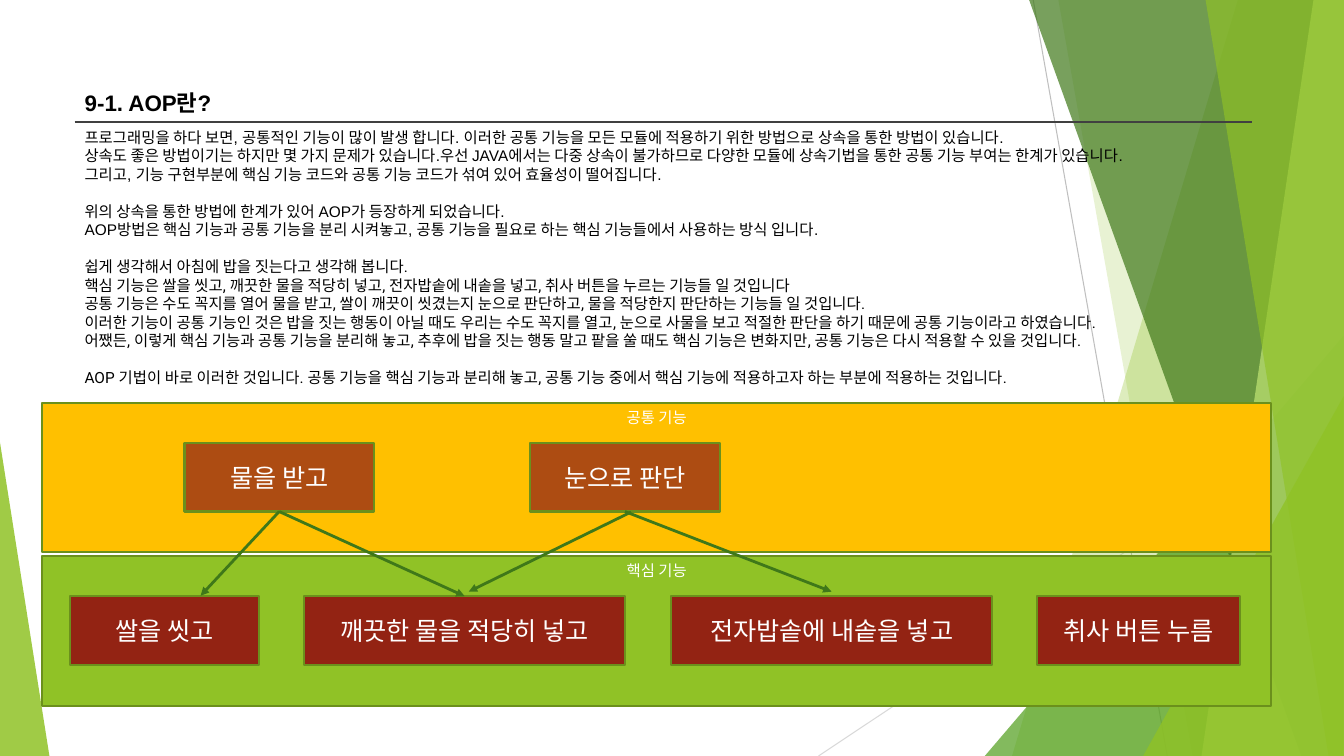
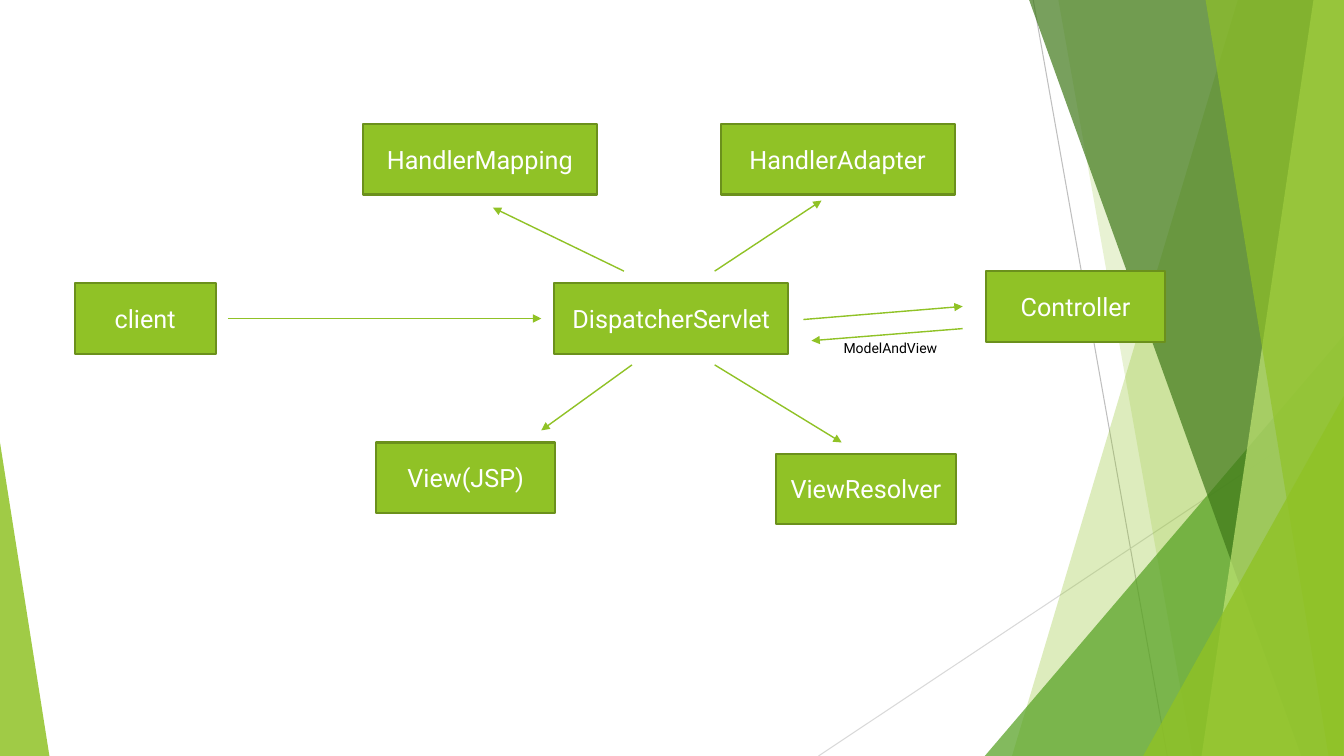
import collections
import pptx
import pptx.util
import pptx.dml.color
import pptx.enum.shapes
import pptx.enum.text
import pptx.oxml
import pptx.oxml.ns

# Lengths are columns and rows of a grid with cells of 0.1 inch
COLS, ROWS = 133.33, 75
GREEN, LEAF, DARK_GREEN, LIME = "90C226", "54A021", "3F7819", "C0E474"
OUTLINE, AMBER, RUST, BRICK = "6B901C", "FFC000", "AD4C12", "932313"
BLACK, WHITE, RULE = "000000", "FFFFFF", "404040"
SHAPE = pptx.enum.shapes.MSO_SHAPE
ANCHOR = pptx.enum.text.MSO_ANCHOR
ALIGN = pptx.enum.text.PP_ALIGN
Box = collections.namedtuple("Box", "x y w h")

TITLE = "9-1. AOP란?"
# Blocks of paragraphs; each paragraph is a list of (text, font) runs
BODY = [
    [[("프로그래밍을 하다 보면, 공통적인 기능이 많이 발생 합니다. 이러한 공통 기능을 모든 모듈에 적용하기 위한 방법으로 상속을 통한 방법이 있습니다.", "Arial")],
     [("상속도 좋은 방법이기는 하지만 몇 가지 문제가 있습니다.우선 JAVA에서는 다중 상속이 불가하므로 다양한 모듈에 상속기법을 통한 공통 기능 부여는 한계가 있습니다.", "Arial")],
     [("그리고, 기능 구현부분에 핵심 기능 코드와 공통 기능 코드가 섞여 있어 효율성이 떨어집니다.", "Arial")]],
    [[("위의 상속을 통한 방법에 한계가 있어 AOP가 등장하게 되었습니다.", "Arial")],
     [("AOP방법은 핵심 기능과 공통 기능을 분리 시켜놓고, 공통 기능을 필요로 하는 핵심 기능들에서 사용하는 방식 입니다.", "Arial")]],
    [[("쉽게 생각해서 아침에 ", "Arial"), ("밥을 짓는다고 생각해 봅니다.", "Roboto")],
     [("핵심 기능은 쌀을 씻고, 깨끗한 물을 적당히 넣고, 전자밥솥에 내솥을 넣고, 취사 버튼을 누르는 기능들 일 것입니다", "Roboto")],
     [("공통 기능은 수도 꼭지를 열어 물을 받고, 쌀이 깨끗이 씻겼는지 눈으로 판단하고, 물을 적당한지 판단하는 기능들 일 것입니다.", "Roboto")],
     [("이러한 기능이 공통 기능인 것은 밥을 짓는 행동이 아닐 때도 우리는 수도 꼭지를 열고, 눈으로 사물을 보고 적절한 판단을 하기 때문에 공통 기능이라고 하였습니다.", "Roboto")],
     [("어쨌든, 이렇게 핵심 기능과 공통 기능을 분리해 놓고, 추후에 밥을 짓는 행동 말고 팥을 쑬 때도 핵심 기능은 변화지만, 공통 기능은 다시 적용할 수 있을 것입니다.", "Roboto")]],
    [[("AOP 기법이 바로 이러한 것입니다. 공통 기능을 핵심 기능과 분리해 놓고, 공통 기능 중에서 핵심 기능에 적용하고자 하는 부분에 적용하는 것입니다.", "Roboto")]],
]


def grid(*cells):
    return [pptx.util.Inches(n / 10) for n in cells]


def rgb(color):
    return pptx.dml.color.RGBColor.from_string(color)


def add_xml(parent, tag, **attributes):
    child = pptx.oxml.parse_xml(f"<a:{tag} {pptx.oxml.ns.nsdecls('a')}/>")
    for name, value in attributes.items():
        child.set(name, value)
    parent.append(child)


def add_text(p, text, size=18, font="Roboto", color=WHITE, bold=False, align=ALIGN.LEFT):
    p.alignment = align
    r = p.add_run()
    r.text = text
    r.font.size = pptx.util.Pt(size)
    r.font.name = font
    r.font.bold = bold
    r.font.color.rgb = rgb(color)


def text_box(s, box):
    tf = s.shapes.add_textbox(*grid(*box)).text_frame
    tf.word_wrap = True
    return tf


def paint(sp, fill, line=None, alpha=100):
    sp.shadow.inherit = False
    sp.fill.solid()
    sp.fill.fore_color.rgb = rgb(fill)
    if alpha < 100:
        clr = sp.element.spPr.find(".//" + pptx.oxml.ns.qn("a:srgbClr"))
        add_xml(clr, "alpha", val=str(alpha * 1000))
    if line:
        sp.line.color.rgb = rgb(line)
        sp.line.width = pptx.util.Pt(1.5)
    else:
        sp.line.fill.background()
    return sp


def add_block(s, box, text, fill, size=18, anchor=ANCHOR.MIDDLE):
    sp = paint(s.shapes.add_shape(SHAPE.RECTANGLE, *grid(*box)), fill, OUTLINE)
    tf = sp.text_frame
    tf.vertical_anchor = anchor
    add_text(tf.paragraphs[0], text, size=size, align=ALIGN.CENTER)
    return sp


def add_line(s, ends, color, width, arrow=False):
    kind = pptx.enum.shapes.MSO_CONNECTOR.STRAIGHT
    c = s.shapes.add_connector(kind, *grid(*ends))
    c.line.color.rgb = rgb(color)
    c.line.width = pptx.util.Pt(width)
    if arrow:
        add_xml(c.element.spPr.find(pptx.oxml.ns.qn("a:ln")), "tailEnd", type="triangle")
    add_xml(c.element.spPr, "effectLst")
    return c


# Shared background: facets on the right edge, one wedge at lower left
def add_facet(s, top, bottom, fill, alpha):
    corners = [grid(x, y) for x, y in
               ((top, 0), (COLS, 0), (COLS, ROWS), (bottom, ROWS))]
    outline = s.shapes.build_freeform(*corners[0], scale=1.0)
    outline.add_line_segments(corners[1:], close=True)
    paint(outline.convert_to_shape(), fill, alpha=alpha)


def add_wedge(s, left, top, width, apex, fill, alpha):
    sp = s.shapes.add_shape(SHAPE.ISOSCELES_TRIANGLE, *grid(left, top, width, ROWS - top))
    sp.adjustments[0] = apex
    paint(sp, fill, alpha=alpha)


def build_master(prs, s):
    """Draw the background on the still empty slide s and move it to the master."""
    add_line(s, (102.5, 0, 115.8, ROWS), "BFBFBF", 0.75)
    add_line(s, (COLS, 40.3, 81.2, ROWS), "D9D9D9", 0.75)
    add_facet(s, 122.8, 100.4, GREEN, 30)
    add_facet(s, 105, 118.3, GREEN, 20)
    add_wedge(s, 97.7, 33.3, 35.6, 1, LEAF, 72)
    add_facet(s, 102.1, 129.1, DARK_GREEN, 70)
    add_facet(s, 130.3, 119.2, LIME, 70)
    add_facet(s, 119.6, 131.8, GREEN, 65)
    add_wedge(s, 113.4, 39.3, 19.9, 1, GREEN, 80)
    add_wedge(s, 0, 43.9, 4.9, 0, GREEN, 85)
    for number, sp in enumerate(list(s.shapes), 100):
        sp.element.xpath(".//p:cNvPr")[0].set("id", str(number))
        prs.slide_master.shapes.element.append(sp.element)


# Heading with its rule
def add_heading(s, box, text):
    title = s.shapes.title
    title.left, title.top, title.width, title.height = grid(*box)
    tf = title.text_frame
    tf.auto_size = pptx.enum.text.MSO_AUTO_SIZE.NONE
    tf.vertical_anchor = ANCHOR.MIDDLE
    add_text(tf.paragraphs[0], text, size=16, font="Arial", color=BLACK, bold=True)
    y = box.y + box.h + 0.1
    add_line(s, (box.x, y, box.x + box.w, y), RULE, 1)


# Body text, with a line's space between blocks
def add_body(s, box, blocks):
    tf = text_box(s, box)
    p = None
    for block in blocks:
        for i, runs in enumerate(block):
            gap = 13.2 if p is not None and i == 0 else 0
            p = tf.paragraphs[0] if p is None else tf.add_paragraph()
            p.space_before = pptx.util.Pt(gap)
            for text, font in runs:
                add_text(p, text, size=11, font=font, color=BLACK)


# Labelled band holding a row of blocks
def add_band(s, box, label, fill, block_fill, blocks):
    add_block(s, box, label, fill, size=11, anchor=ANCHOR.TOP)
    return [add_block(s, (box.x + x, box.y + 3.95, w, 6.8), text, block_fill)
            for text, x, w in blocks]


def build_aop_slide(s):
    common_box = Box(4.2, 40, 121.9, 14.8)
    core_box = common_box._replace(y=55.2)
    water, look = add_band(s, common_box, "공통 기능", AMBER, RUST,
                           [("물을 받고", 14.1, 18.8), ("눈으로 판단", 48.4, 18.8)])
    core = add_band(s, core_box, "핵심 기능", GREEN, BRICK,
                    [("쌀을 씻고", 2.7, 18.8), ("깨끗한 물을 적당히 넣고", 26, 31.8),
                     ("전자밥솥에 내솥을 넣고", 62.4, 31.8), ("취사 버튼 누름", 98.7, 20.1)])
    add_heading(s, Box(7.4, 8.3, 116.8, 3.7), TITLE)
    add_body(s, Box(7.4, 12.2, 116.8, 26.7), BODY)

    # Arrows from common to core: ends, block joined at the start, block joined at the end
    for ends, source, target in [((27.7, 50.8, 19.9, 59.1), water, None),
                                 ((27.7, 50.8, 46.1, 59.1), water, core[1]),
                                 ((62.6, 50.8, 46.5, 58.7), None, None),
                                 ((62, 50.8, 82.5, 58.7), look, None)]:
        c = add_line(s, ends, DARK_GREEN, 2, arrow=True)
        if source is not None:
            c.begin_connect(source, 2)
        if target is not None:
            c.end_connect(target, 0)


# Request flow, placed from the left top corner of its box
def build_flow_slide(s, box=Box(7.4, 12.3, 108.2, 39.7)):
    for text, x, y, w in [("client", 0, 15.8, 14), ("DispatcherServlet", 47.6, 15.8, 23.2),
                          ("HandlerMapping", 28.6, 0, 23.2), ("HandlerAdapter", 64.1, 0, 23.2),
                          ("Controller", 90.4, 14.6, 17.8), ("ViewResolver", 69.6, 32.7, 17.8),
                          ("View(JSP)", 29.9, 31.6, 17.8)]:
        add_block(s, (box.x + x, box.y + y, w, 7), text, GREEN)
    for x1, y1, x2, y2 in [(15.2, 19.3, 46.3, 19.3), (54.5, 14.6, 41.5, 8.3),
                           (63.5, 14.6, 74.1, 7.6), (72.3, 19.4, 88.1, 18.1),
                           (63.5, 23.9, 76.1, 31.6), (55.3, 23.9, 46.3, 30.4),
                           (88.1, 20.3, 73.1, 21.5)]:
        add_line(s, (box.x + x1, box.y + y1, box.x + x2, box.y + y2), GREEN, 1, arrow=True)
    tf = text_box(s, (box.x + 75.3, box.y + 20.9, 13.5, 2.7))
    add_text(tf.paragraphs[0], "ModelAndView", size=10, color=BLACK)


def main():
    prs = pptx.Presentation()
    prs.slide_width, prs.slide_height = grid(COLS, ROWS)
    title_only, blank = prs.slide_layouts[5], prs.slide_layouts[6]
    aop = prs.slides.add_slide(title_only)
    flow = prs.slides.add_slide(blank)
    build_master(prs, flow)
    build_aop_slide(aop)
    build_flow_slide(flow)
    prs.save("out.pptx")


if __name__ == "__main__":
    main()
